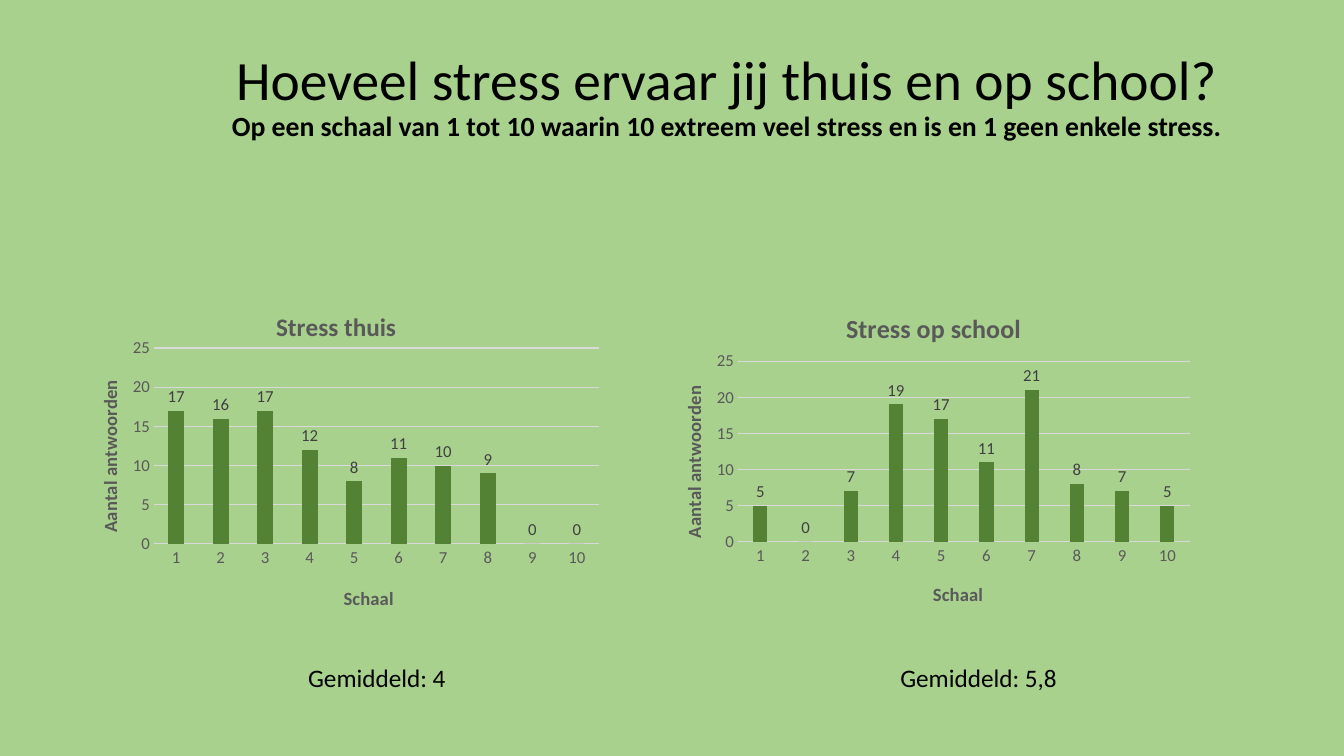
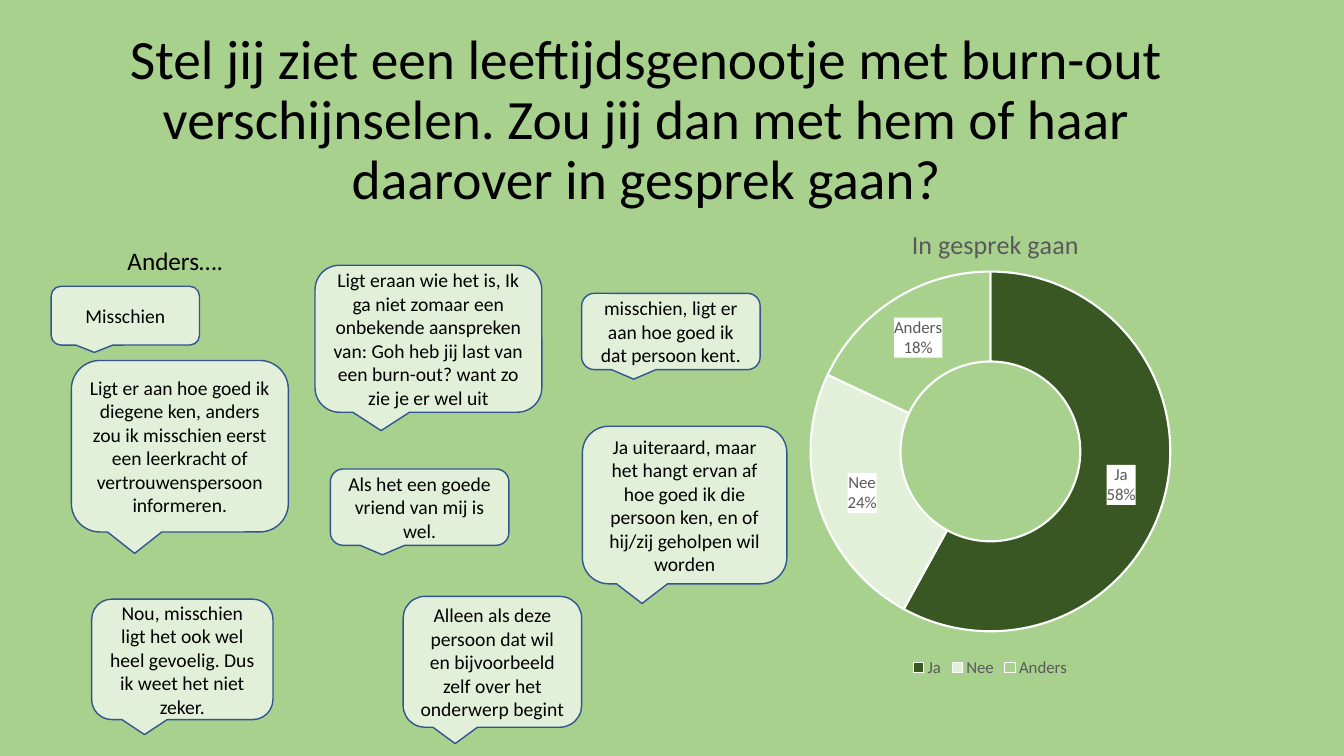
"""Build two Dutch survey slides about stress and burn-out conversations."""
from dataclasses import dataclass

from lxml.etree import SubElement
from pptx import Presentation
from pptx.chart.data import CategoryChartData
from pptx.dml.color import RGBColor
from pptx.enum.chart import XL_CHART_TYPE as ChartType
from pptx.enum.chart import XL_LABEL_POSITION as LabelPosition
from pptx.enum.chart import XL_LEGEND_POSITION as LegendPosition
from pptx.enum.chart import XL_TICK_MARK as TickMark
from pptx.enum.shapes import MSO_SHAPE as Preset
from pptx.enum.text import MSO_ANCHOR as Anchor
from pptx.enum.text import MSO_AUTO_SIZE as AutoSize
from pptx.enum.text import PP_ALIGN as Align
from pptx.oxml import parse_xml
from pptx.oxml.ns import nsdecls, qn
from pptx.util import Pt


@dataclass(frozen=True)
class Theme:
    font: str = "Calibri"
    ink: str = "000000"
    background: str = "A9D18E"
    bubble: str = "E2F0D9"
    bubble_edge: str = "325491"
    column: str = "548235"
    dark_slice: str = "385723"
    white: str = "FFFFFF"
    chart_text: str = "595959"
    value_text: str = "404040"
    grid: str = "D9D9D9"
    title: float = 39.6
    subtitle: float = 19.8
    body: float = 18
    bubble_text: float = 14
    chart_title: float = 18.6
    axis_title: float = 13.3
    chart_label: float = 12


@dataclass(frozen=True)
class Box:
    left: float
    top: float
    width: float = 0
    height: float = 0

    def lengths(self) -> tuple:
        return Pt(self.left), Pt(self.top), Pt(self.width), Pt(self.height)


@dataclass(frozen=True)
class ColumnPanel:
    title: str
    values: tuple
    gap: int
    overlap: int
    title_size: float
    frame: Box
    plot: Box
    title_spot: Box
    scale_spot: Box
    count_spot: Box
    average: str
    average_box: Box


@dataclass(frozen=True)
class Bubble:
    text: str
    box: Box


THEME = Theme()

PANELS = (
    ColumnPanel("Stress thuis", (17, 16, 17, 12, 8, 11, 10, 9, 0, 0), 182, 0, 18,
                Box(55, 144, 384, 301), Box(110, 248.6, 318, 140),
                Box(194, 218), Box(243, 416), Box(67, 269),
                "Gemiddeld: 4", Box(213, 469.5, 176, 29)),
    ColumnPanel("Stress op school", (5, 0, 7, 19, 17, 11, 21, 8, 7, 5), 219, -27,
                THEME.chart_title,
                Box(469, 203, 390, 242), Box(527, 258, 323, 129),
                Box(601, 218), Box(664, 413), Box(484, 273),
                "Gemiddeld: 5,8", Box(636, 469.5, 176, 29)),
)

BUBBLES = (
    Bubble("Misschien", Box(36.5, 204.5, 106, 42)),
    Bubble("Ligt eraan wie het is, Ik ga niet zomaar een onbekende aanspreken van: "
           "Goh heb jij last van een burn-out? want zo zie je er wel uit",
           Box(225, 189.5, 162, 105)),
    Bubble("Ligt er aan hoe goed ik diegene ken, anders zou ik misschien eerst een "
           "leerkracht of vertrouwenspersoon informeren.", Box(51, 257.5, 155, 122.5)),
    Bubble("Als het een goede vriend van mij is wel.", Box(236, 335, 127.5, 54.5)),
    Bubble("misschien, ligt er aan hoe goed ik dat persoon kent.",
           Box(415.5, 209.5, 127.5, 54.5)),
    Bubble("Alleen als deze persoon dat wil en bijvoorbeeld zelf over het "
           "onderwerp begint", Box(288, 426, 127.5, 93.5)),
    Bubble("Nou, misschien ligt het ook wel heel gevoelig. Dus ik weet het niet zeker.",
           Box(65.5, 428, 129.5, 86)),
    Bubble("Ja uiteraard, maar het hangt ervan af hoe goed ik die persoon ken, en of "
           "hij/zij geholpen wil worden", Box(416, 304.5, 146, 112.5)),
)


def color(code: str) -> RGBColor:
    return RGBColor.from_string(code)


def style(font, size: float, code: str, bold: bool = False) -> None:
    font.name = THEME.font
    font.size = Pt(size)
    font.bold = bold
    font.color.rgb = color(code)


def set_text(frame, text: str, size: float, code: str, bold: bool = False) -> None:
    frame.text = text
    for run in frame.paragraphs[0].runs:
        style(run.font, size, code, bold)


def add_titled_slide(deck, text: str, box: Box):
    slide = deck.slides.add_slide(deck.slide_layouts[5])
    title = slide.shapes.title
    title.left, title.top, title.width, title.height = box.lengths()
    frame = title.text_frame
    set_text(frame, text, THEME.title, THEME.ink)
    frame.auto_size = AutoSize.NONE
    frame.vertical_anchor = Anchor.MIDDLE
    frame.paragraphs[0].alignment = Align.CENTER
    frame.paragraphs[0].line_spacing = 0.9
    return slide


def add_note(slide, text: str, box: Box) -> None:
    frame = slide.shapes.add_textbox(*box.lengths()).text_frame
    frame.word_wrap = True
    set_text(frame, text, THEME.body, THEME.ink)


def add_bubble(slide, bubble: Bubble) -> None:
    callout = slide.shapes.add_shape(Preset.ROUNDED_RECTANGULAR_CALLOUT,
                                     *bubble.box.lengths())
    callout.shadow.inherit = False
    callout.fill.solid()
    callout.fill.fore_color.rgb = color(THEME.bubble)
    callout.line.color.rgb = color(THEME.bubble_edge)
    callout.line.width = Pt(1)
    frame = callout.text_frame
    frame.word_wrap = True
    frame.vertical_anchor = Anchor.MIDDLE
    set_text(frame, bubble.text, THEME.bubble_text, THEME.ink)
    frame.paragraphs[0].alignment = Align.CENTER


def place(element, index: int, spot: Box, frame: Box) -> None:
    """Fix a chart part at a slide position, stored as fractions of the chart frame."""
    for old in element.findall(qn("c:layout")):
        element.remove(old)
    layout = parse_xml(f"<c:layout {nsdecls('c')}/>")
    manual = SubElement(layout, qn("c:manualLayout"))
    settings = {"xMode": "edge", "yMode": "edge",
                "x": (spot.left - frame.left) / frame.width,
                "y": (spot.top - frame.top) / frame.height}
    if spot.width:
        settings = {"layoutTarget": "inner", **settings,
                    "w": spot.width / frame.width, "h": spot.height / frame.height}
    for tag, value in settings.items():
        SubElement(manual, qn(f"c:{tag}")).set("val", str(value))
    element.insert(index, layout)


def add_chart(slide, kind, categories: tuple, values: tuple, frame: Box, plot: Box,
              title: str, title_spot: Box, title_size: float, bold: bool):
    data = CategoryChartData()
    data.categories = categories
    data.add_series("Series 1", values)
    chart = slide.shapes.add_chart(kind, *frame.lengths(), data).chart
    style(chart.font, THEME.chart_label, THEME.chart_text)
    chart.has_legend = False
    chart.has_title = True
    set_text(chart.chart_title.text_frame, title, title_size, THEME.chart_text, bold)
    chart.chart_title.include_in_layout = False
    place(chart.chart_title._element, 1, title_spot, frame)
    place(chart._chartSpace.chart.plotArea, 0, plot, frame)
    return chart


def format_axis(axis, title: str, spot: Box, frame: Box) -> None:
    axis.major_tick_mark = axis.minor_tick_mark = TickMark.NONE
    style(axis.tick_labels.font, THEME.chart_label, THEME.chart_text)
    set_text(axis.axis_title.text_frame, title, THEME.axis_title, THEME.chart_text, True)
    place(axis.axis_title._element, 1, spot, frame)


def add_column_panel(slide, panel: ColumnPanel) -> None:
    categories = tuple(str(step) for step in range(1, 11))
    chart = add_chart(slide, ChartType.COLUMN_CLUSTERED, categories, panel.values,
                      panel.frame, panel.plot, panel.title, panel.title_spot,
                      panel.title_size, True)
    scale, count = chart.category_axis, chart.value_axis
    format_axis(scale, "Schaal", panel.scale_spot, panel.frame)
    format_axis(count, "Aantal antwoorden", panel.count_spot, panel.frame)
    rotation = count.axis_title.text_frame._txBody.bodyPr
    rotation.set("rot", "-5400000")
    rotation.set("vert", "horz")
    count.minimum_scale, count.maximum_scale, count.major_unit = 0, 25, 5
    count.format.line.fill.background()
    count.has_major_gridlines = True
    for line in (scale.format.line, count.major_gridlines.format.line):
        line.color.rgb = color(THEME.grid)
        line.width = Pt(0.75)
    columns = chart.plots[0]
    columns.vary_by_categories = False
    columns.gap_width, columns.overlap = panel.gap, panel.overlap
    answers = columns.series[0]
    answers.format.fill.solid()
    answers.format.fill.fore_color.rgb = color(THEME.column)
    labels = answers.data_labels
    labels.show_value = True
    labels.position = LabelPosition.OUTSIDE_END
    style(labels.font, THEME.chart_label, THEME.value_text)
    add_note(slide, panel.average, panel.average_box)


def add_doughnut(slide) -> None:
    chart = add_chart(slide, ChartType.DOUGHNUT, ("Ja", "Nee", "Anders"), (58, 24, 18),
                      Box(521, 144, 373, 343), Box(579, 194, 257, 257),
                      "In gesprek gaan", Box(648, 158), THEME.chart_title, False)
    chart.has_legend = True
    chart.legend.position = LegendPosition.BOTTOM
    chart.legend.include_in_layout = False
    style(chart.legend.font, THEME.chart_label, THEME.chart_text)
    ring = chart.plots[0]
    ring._element.find(qn("c:holeSize")).set("val", "75")
    answers = ring.series[0]
    for index, code in enumerate((THEME.dark_slice, THEME.bubble, THEME.background)):
        part = answers.points[index].format
        part.fill.solid()
        part.fill.fore_color.rgb = color(code)
        part.line.color.rgb = color(THEME.white)
        part.line.width = Pt(1.5)
    labels = answers.data_labels
    labels.show_value = False
    labels.show_percentage = labels.show_category_name = True
    labels.number_format = "0%"
    labels.number_format_is_linked = False
    style(labels.font, THEME.chart_label, THEME.chart_text)
    element = labels._element
    element.find(qn("c:txPr")).addprevious(parse_xml(
        f'<c:spPr {nsdecls("c", "a")}><a:solidFill><a:srgbClr val="{THEME.white}"/>'
        "</a:solidFill></c:spPr>"))
    separator = parse_xml(f"<c:separator {nsdecls('c')}>\n</c:separator>")
    element.find(qn("c:showBubbleSize")).addnext(separator)


def build_stress_slide(deck) -> None:
    slide = add_titled_slide(
        deck, "Hoeveel stress ervaar jij thuis en op school?\vOp een schaal van 1 tot 10 "
        "waarin 10 extreem veel stress en is en 1 geen enkele stress.",
        Box(105, 18, 828, 104))
    subtitle = slide.shapes.title.text_frame.paragraphs[0].runs[1]
    style(subtitle.font, THEME.subtitle, THEME.ink, True)
    for panel in PANELS:
        add_column_panel(slide, panel)


def build_conversation_slide(deck) -> None:
    slide = add_titled_slide(
        deck, "Stel jij ziet een leeftijdsgenootje met burn-out verschijnselen. "
        "Zou jij dan met hem of haar daarover in gesprek gaan?",
        Box(47.5, 17, 828, 140))
    add_doughnut(slide)
    add_note(slide, "Anders….", Box(84, 172, 160, 29))
    for bubble in BUBBLES:
        add_bubble(slide, bubble)


def main() -> None:
    deck = Presentation()
    deck.slide_width, deck.slide_height = Pt(960), Pt(540)
    backdrop = deck.slide_master.background.fill
    backdrop.solid()
    backdrop.fore_color.rgb = color(THEME.background)
    build_stress_slide(deck)
    build_conversation_slide(deck)
    deck.save("out.pptx")


if __name__ == "__main__":
    main()
